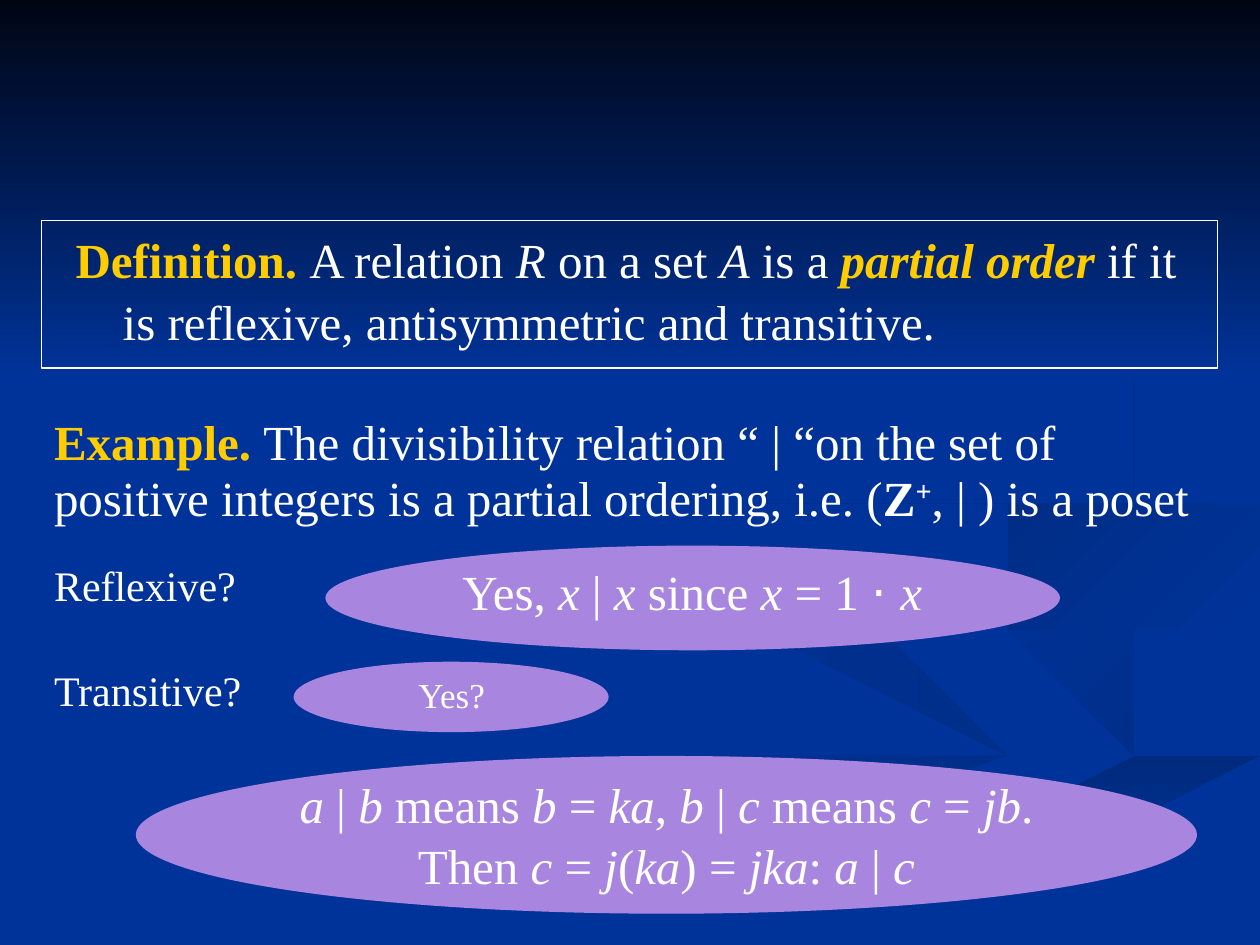
"""Build the partial order slide: a definition, an example and its checks."""
from pptx import Presentation
from pptx.dml.color import RGBColor
from pptx.enum.shapes import MSO_SHAPE as SHAPE
from pptx.enum.text import MSO_ANCHOR as ANCHOR, MSO_AUTO_SIZE as AUTO, PP_ALIGN as ALIGN
from pptx.util import Cm, Pt
from lxml import etree

NAVY, WHITE, GOLD, LILAC = "003399", "FFFFFF", "FFCC00", "A886E0"
NS = "{http://schemas.openxmlformats.org/drawingml/2006/main}"


def rgb(value):
    """Turn a hex string into a colour."""
    return RGBColor.from_string(value)


def write(p, text, size=28, color=WHITE, bold=False, font="Times New Roman", raised=False):
    """Add text to a paragraph; parts between underscores are italic."""
    for i, part in enumerate(text.split("_")):
        if part:
            r = p.add_run()
            r.text = part
            r.font.name, r.font.size = font, Pt(size)
            r.font.bold, r.font.italic = bold, i % 2 == 1
            r.font.color.rgb = rgb(color)
            if raised:
                r.font._element.set("baseline", "30000")


prs = Presentation()
prs.slide_width, prs.slide_height = Cm(25.4), Cm(19.05)
s = prs.slides.add_slide(prs.slide_layouts[1])
s.background.fill.solid()
s.background.fill.fore_color.rgb = rgb(NAVY)
title, body = s.placeholders
title.element.getparent().remove(title.element)

swirls = [
    (NAVY, "002E8B", 0, [
        (7.8, 5.53), (6.4, 5.07), (5.75, 4.59), (5.8, 4.83), (7.4, 5.39), (7.86, 5.66),
        (7.4, 5.98), (5.4, 6.49), (3, 7.49), (3.6, 7.49), (5.6, 6.65), (7.8, 6.05), (8, 5.8)]),
    (NAVY, "002E8B", 45, [
        (9.43, 5.7), (9.05, 5.4), (7.6, 4.98), (7.24, 4.64), (7.46, 5), (8.4, 5.36),
        (9.07, 5.62), (9.17, 5.85), (8.94, 6.05), (9.32, 5.89)]),
    ("002A7D", NAVY, 90, [
        (5.03, 7.49), (5.7, 7.49), (6.95, 6.92), (8.2, 6.51), (9.98, 6.09), (9.98, 5.81),
        (9.36, 6.02), (7.64, 6.47), (6.3, 6.93)]),
    (NAVY, NAVY, 0, [
        (7.25, 4.64), (7.6, 4.98), (9.05, 5.4), (9.43, 5.7), (8.9, 6.05), (7, 6.55),
        (4.77, 7.49), (5.03, 7.49), (7.6, 6.47), (9.99, 5.81), (9.99, 5.38), (8.5, 5.03),
        (7.82, 4.6), (8.35, 4.3), (9.99, 4.02), (9.99, 3.87), (7.7, 4.27)]),
    ("002D86", NAVY, 45, [
        (7.81, 4.6), (7.91, 4.78), (8.26, 4.96), (8.05, 4.72), (8.43, 4.48), (9.98, 4.2),
        (9.98, 4.02), (8.5, 4.27)]),
    ("002B82", NAVY, 45, [
        (6.83, 4.3), (8.25, 4.02), (8.83, 3.7), (8.9, 3.24), (8.43, 2.75), (7.62, 2.33),
        (8.46, 2.79), (8.88, 3.28), (8.7, 3.65), (7.9, 3.92), (6.25, 4.26), (5.77, 4.62),
        (6.22, 5), (5.94, 4.65), (6.24, 4.44)]),
    ("000514", NAVY, 90, [(0, 0), (0, 3.08), (10, 3.08), (10, 0)]),
]
for first, last, angle, points in swirls:
    outline = s.shapes.build_freeform(*points[0], scale=Cm(2.54))
    outline.add_line_segments(points[1:])
    sp = outline.convert_to_shape()
    sp.shadow.inherit = False
    sp.line.fill.background()
    if first == last:
        sp.fill.solid()
        sp.fill.fore_color.rgb = rgb(first)
    else:
        sp.fill.gradient()
        sp.fill.gradient_angle = -angle % 360
        for stop, color in zip(sp.fill.gradient_stops, (first, last)):
            stop.color.rgb = rgb(color)

s.shapes._spTree.append(body.element)
body.left, body.top, body.width, body.height = Cm(1.27), Cm(4.45), Cm(23.5), Cm(2.74)
tf = body.text_frame
tf.auto_size, tf.vertical_anchor = AUTO.NONE, ANCHOR.TOP
p = tf.paragraphs[0]
pPr = p._p.get_or_add_pPr()
pPr.set("marL", str(Cm(0.95)))
pPr.set("indent", str(Cm(-0.95)))
etree.SubElement(pPr, NS + "buNone")
p.space_before, p.line_spacing = Pt(0), 1.05
write(p, "Definition. ", color=GOLD, bold=True)
write(p, "A relation _R_ on a set _A_ is a ")
write(p, "_partial order_", color=GOLD, bold=True)
write(p, " if it is reflexive, antisymmetric and transitive.")

tf = s.shapes.add_textbox(Cm(0.84), Cm(8.26), Cm(23.7), Cm(2.39)).text_frame
tf.word_wrap = True
p = tf.paragraphs[0]
p.line_spacing = 0.95
write(p, "Example. ", color=GOLD, bold=True)
write(p, "The divisibility relation “ | “on the set of positive integers is a partial ordering, i.e. (")
write(p, "Z", bold=True)
write(p, "+", bold=True, raised=True)
write(p, ", | ) is a poset")

sp = s.shapes.add_shape(SHAPE.RECTANGLE, Cm(0.84), Cm(4.45), Cm(23.7), Cm(2.97))
sp.shadow.inherit = False
sp.fill.background()
sp.line.color.rgb, sp.line.width = rgb(WHITE), Pt(0.75)

for question, top in (("Reflexive?", 11.23), ("Transitive?", 13.34)):
    tf = s.shapes.add_textbox(Cm(0.84), Cm(top), Cm(6.4), Cm(1.27)).text_frame
    tf.word_wrap = True
    p = tf.paragraphs[0]
    p.line_spacing = 0.95
    write(p, question, size=24)

answers = [
    ((6.56, 11, 14.81, 2.11), (8.53, 11.13, 10.85, 1.45), 28,
     [("Yes, _x _| _x_ since _x_ = 1 ", "Times New Roman"), ("⋅ ", "Arial"),
      ("_x_", "Times New Roman")]),
    ((5.92, 13.34, 6.35, 1.42), (6.78, 13.41, 4.65, 1.12), 20, [("Yes?", "Times New Roman")]),
    ((2.74, 15.24, 21.39, 3.18), (5.61, 15.42, 15.65, 2.64), 28,
     [("_a _| _b_ means _b _= _ka_, _b _| _c_ means _c _= _jb_. "
       "Then _c _= _j_(_ka_) = _jka_: _a_ | _c_", "Times New Roman")]),
]
for oval, box, size, parts in answers:
    group = s.shapes.add_group_shape().shapes
    sp = group.add_shape(SHAPE.OVAL, *map(Cm, oval))
    sp.shadow.inherit = False
    sp.fill.solid()
    sp.fill.fore_color.rgb = rgb(LILAC)
    sp.line.fill.background()
    tf = group.add_textbox(*map(Cm, box)).text_frame
    tf.word_wrap = True
    p = tf.paragraphs[0]
    p.alignment, p.line_spacing = ALIGN.CENTER, 1.05
    for text, font in parts:
        write(p, text, size=size, font=font)

prs.save("out.pptx")
